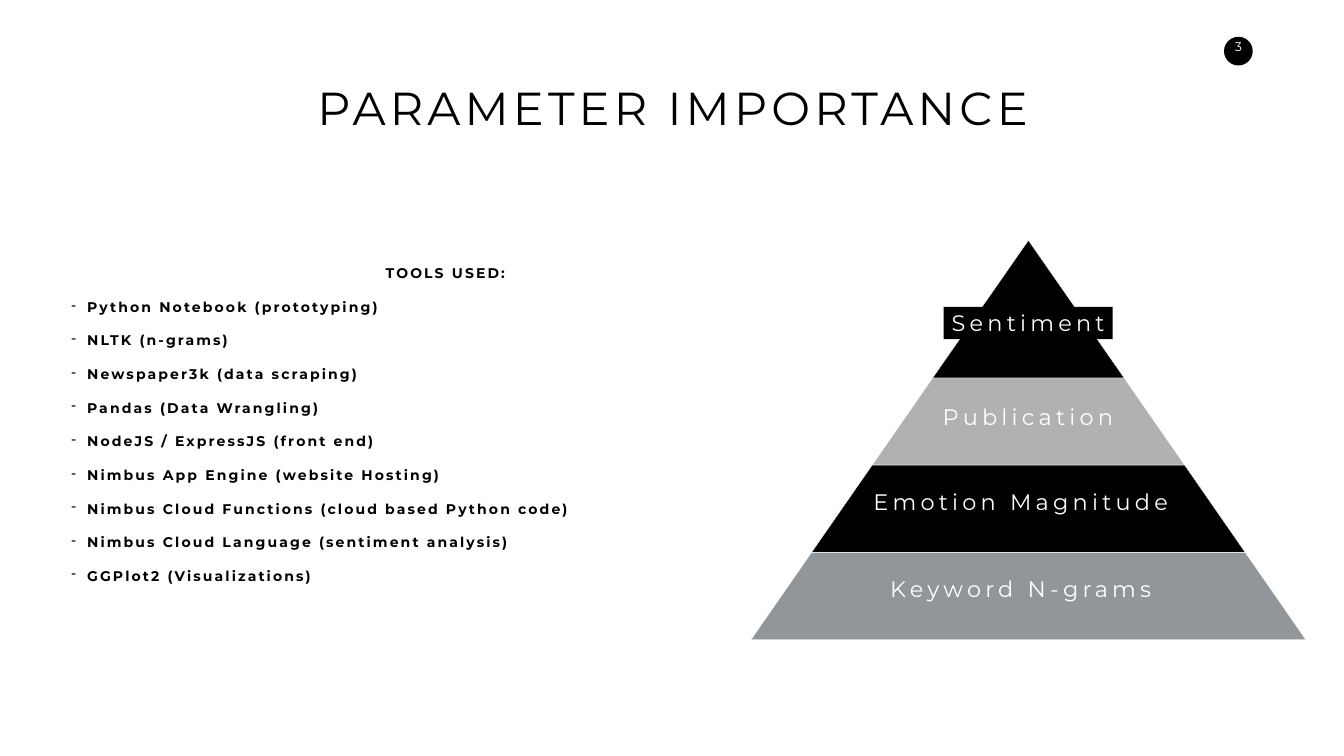
from dataclasses import dataclass

from lxml.etree import SubElement
from pptx import Presentation
from pptx.dml.color import RGBColor
from pptx.enum.shapes import MSO_SHAPE as Shape
from pptx.enum.text import MSO_AUTO_SIZE as AutoSize, PP_ALIGN as Align
from pptx.oxml.ns import qn
from pptx.util import Pt

PX = 9144  # EMU per px, 100 px to the inch
FONT = "Montserrat"
BLACK = RGBColor(0x00, 0x00, 0x00)
WHITE = RGBColor(0xFF, 0xFF, 0xFF)
SILVER = RGBColor(0xB0, 0xB1, 0xB3)
SLATE = RGBColor(0x91, 0x96, 0x9B)

APEX_X, APEX_Y = 2040, 477
BASE_Y, HALF_BASE = 1269, 550
BULLET_INDENT = 31


@dataclass(frozen=True)
class Box:
    left: int
    top: int
    width: int
    height: int

    def emu(self) -> list[int]:
        return [v * PX for v in (self.left, self.top, self.width, self.height)]


@dataclass(frozen=True)
class TextStyle:
    size: int
    color: RGBColor
    spacing: int = 0
    bold: bool = False


@dataclass(frozen=True)
class Tier:
    label: str
    bottom: int
    fill: RGBColor
    box: Box
    label_fill: RGBColor | None = None


NUMBER = TextStyle(18, WHITE)
TITLE = TextStyle(66, BLACK, 6)
TIER_LABEL = TextStyle(32, WHITE, 6)
BODY = TextStyle(20, BLACK, 3, True)

TIERS = [
    Tier("Sentiment", 750, BLACK, Box(1872, 609, 335, 64), BLACK),
    Tier("Publication", 923, SILVER, Box(1854, 795, 370, 64)),
    Tier("Emotion Magnitude", 1096, BLACK, Box(1716, 964, 618, 64)),
    Tier("Keyword N-grams", BASE_Y, SLATE, Box(1747, 1137, 556, 64)),
]

TOOLS = [
    "Python Notebook (prototyping)",
    "NLTK (n-grams)",
    "Newspaper3k (data scraping)",
    "Pandas (Data Wrangling)",
    "NodeJS / ExpressJS (front end)",
    "Nimbus App Engine (website Hosting)",
    "Nimbus Cloud Functions (cloud based Python code)",
    "Nimbus Cloud Language (sentiment analysis)",
    "GGPlot2 (Visualizations)",
]


def style_paragraph(p, style: TextStyle, align: Align) -> None:
    p.alignment = align
    for r in p.runs:
        r.font.name = FONT
        r.font.size = Pt(style.size)
        r.font.bold = style.bold
        r.font.color.rgb = style.color
        if style.spacing:
            r.font._element.set("spc", str(style.spacing * 100))


def add_line_of_text(slide, box: Box, text: str, style: TextStyle):
    s = slide.shapes.add_textbox(*box.emu())
    tf = s.text_frame
    tf.text = text
    tf.word_wrap = False
    tf.auto_size = AutoSize.SHAPE_TO_FIT_TEXT
    style_paragraph(tf.paragraphs[0], style, Align.CENTER)
    return s


def add_page_number(slide, number: str) -> None:
    s = slide.shapes.add_shape(Shape.OVAL, *Box(2428, 73, 57, 57).emu())
    s.shadow.inherit = False
    s.fill.solid()
    s.fill.fore_color.rgb = BLACK
    s.line.fill.background()
    add_line_of_text(slide, Box(2428, 73, 57, 50), number, NUMBER)


def half_width(y: int) -> int:
    """Half the width of the pyramid at height y."""
    return round((y - APEX_Y) * HALF_BASE / (BASE_Y - APEX_Y))


def add_tier(slide, tier: Tier, top: int) -> None:
    upper, lower = half_width(top), half_width(tier.bottom)
    builder = slide.shapes.build_freeform(APEX_X - lower, tier.bottom, scale=PX)
    builder.add_line_segments([
        (APEX_X - upper, top),
        (APEX_X + upper, top),
        (APEX_X + lower, tier.bottom),
    ])
    s = builder.convert_to_shape()
    s.shadow.inherit = False
    s.fill.solid()
    s.fill.fore_color.rgb = tier.fill
    s.line.color.rgb = WHITE
    s.line.width = Pt(0.5)


def add_pyramid(slide, tiers: list[Tier]) -> None:
    tops = [APEX_Y] + [tier.bottom for tier in tiers[:-1]]
    for tier, top in zip(tiers, tops):
        add_tier(slide, tier, top)
    for tier in tiers:
        s = add_line_of_text(slide, tier.box, tier.label, TIER_LABEL)
        if tier.label_fill is not None:
            s.fill.solid()
            s.fill.fore_color.rgb = tier.label_fill


def add_dash_bullet(p) -> None:
    pPr = p._p.get_or_add_pPr()
    pPr.set("marL", str(BULLET_INDENT * PX))
    pPr.set("indent", str(-BULLET_INDENT * PX))
    SubElement(pPr, qn("a:buFontTx"))
    SubElement(pPr, qn("a:buChar"), char="-")


def add_tool_list(slide, heading: str, tools: list[str]) -> None:
    tf = slide.shapes.add_textbox(*Box(132, 487, 1503, 673).emu()).text_frame
    tf.text = "\n".join([heading, *tools])
    tf.word_wrap = True
    tf.auto_size = AutoSize.SHAPE_TO_FIT_TEXT
    for i, p in enumerate(tf.paragraphs):
        style_paragraph(p, BODY, Align.LEFT if i else Align.CENTER)
        p.line_spacing = 2.0
        if i:
            add_dash_bullet(p)


def main() -> None:
    prs = Presentation()
    prs.slide_width, prs.slide_height = 2666 * PX, 1500 * PX
    slide = prs.slides.add_slide(prs.slide_layouts[6])
    add_page_number(slide, "3")
    add_line_of_text(slide, Box(604, 152, 1462, 121), "PARAMETER IMPORTANCE", TITLE)
    add_pyramid(slide, TIERS)
    add_tool_list(slide, "TOOLS USED:", TOOLS)
    prs.save("out.pptx")


if __name__ == "__main__":
    main()
